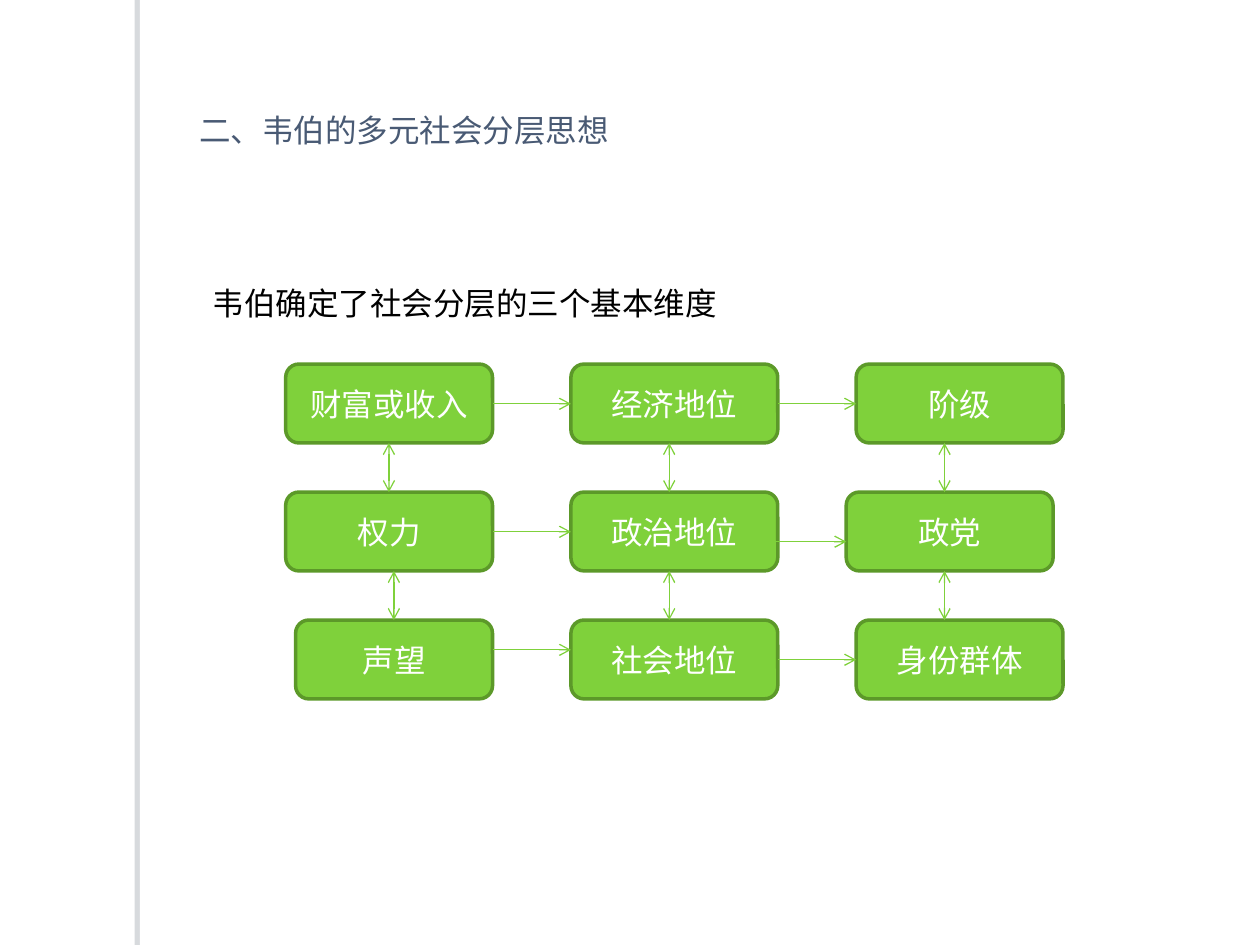
import pptx
import pptx.util
import pptx.dml.color
import pptx.enum.shapes
import pptx.enum.text
import pptx.oxml
import pptx.oxml.ns

Cm = pptx.util.Cm
Pt = pptx.util.Pt
RGBColor = pptx.dml.color.RGBColor
SHAPE = pptx.enum.shapes.MSO_SHAPE
ALIGN = pptx.enum.text.PP_ALIGN
ANCHOR = pptx.enum.text.MSO_ANCHOR

WHITE = RGBColor(0xFF, 0xFF, 0xFF)
BLACK = RGBColor(0x00, 0x00, 0x00)
SLATE = RGBColor(0x49, 0x5A, 0x74)
GREEN = RGBColor(0x7F, 0xD1, 0x3B)
DARK_GREEN = RGBColor(0x5C, 0x99, 0x29)

DIMENSIONS = [
    ["财富或收入", "经济地位", "阶级"],
    ["权力", "政治地位", "政党"],
    ["声望", "社会地位", "身份群体"],
]


def write(shape, text, color=BLACK, align=ALIGN.LEFT, anchor=ANCHOR.MIDDLE, size=18):
    """Put one formatted paragraph into a shape and return it."""
    frame = shape.text_frame
    frame.word_wrap = True
    frame.auto_size = pptx.enum.text.MSO_AUTO_SIZE.NONE
    frame.vertical_anchor = anchor
    paragraph = frame.paragraphs[0]
    paragraph.alignment = align
    run = paragraph.add_run()
    run.text = text
    run.font.name = "Calibri"
    run.font.size = Pt(size)
    run.font.color.rgb = color
    return paragraph


def add_box(slide, kind, left, top, width, height, fill, line=None):
    box = slide.shapes.add_shape(kind, Cm(left), Cm(top), Cm(width), Cm(height))
    box.shadow.inherit = False
    box.fill.solid()
    box.fill.fore_color.rgb = fill
    if line is None:
        box.line.fill.background()
    else:
        box.line.color.rgb = line
        box.line.width = Pt(2)
    return box


def add_arrow(slide, x1, y1, x2, y2, both_ends=False):
    arrow = slide.shapes.add_connector(
        pptx.enum.shapes.MSO_CONNECTOR.STRAIGHT, Cm(x1), Cm(y1), Cm(x2), Cm(y2))
    arrow.line.color.rgb = GREEN
    arrow.line.width = Pt(0.75)
    line = arrow.line._get_or_add_ln()
    for end in ["headEnd", "tailEnd"] if both_ends else ["tailEnd"]:
        tip = pptx.oxml.parse_xml(
            f'<a:{end} {pptx.oxml.ns.nsdecls("a")} type="arrow"/>')
        line.append(tip)
    arrow._element.spPr.append(
        pptx.oxml.parse_xml(f'<a:effectLst {pptx.oxml.ns.nsdecls("a")}/>'))


def add_side_bar(slide, left, top, width, height):
    bar = add_box(slide, SHAPE.RECTANGLE, left, top, width, height, WHITE)
    # Soft grey edge cast to the left
    effects = bar._element.spPr.find(pptx.oxml.ns.qn("a:effectLst"))
    effects.append(pptx.oxml.parse_xml(
        f'<a:outerShdw {pptx.oxml.ns.nsdecls("a")} blurRad="0" dist="38100" '
        'dir="10800000" algn="tl" rotWithShape="0"><a:srgbClr val="66727D">'
        '<a:alpha val="25000"/></a:srgbClr></a:outerShdw>'))


def add_title(slide, left, top, width, height):
    title = slide.shapes.title
    title.left, title.top = Cm(left), Cm(top)
    title.width, title.height = Cm(width), Cm(height)
    write(title, "二、韦伯的多元社会分层思想", color=SLATE)


def add_statement(slide, left, top, width, height):
    panel = add_box(slide, SHAPE.RECTANGLE, left, top, width, height, WHITE)
    statement = write(panel, "韦伯确定了社会分层的三个基本维度", anchor=ANCHOR.TOP)
    statement.space_before = Pt(6)
    indents = statement._p.get_or_add_pPr()
    indents.set("marL", str(Cm(1.02)))
    indents.set("indent", str(Cm(-0.79)))


def add_dimension_grid(slide, left, top, width, height):
    box_width, box_height, nudge = 4.17, 1.59, 0.2
    column_step = (width - box_width) / 2
    row_step = (height - box_height) / 2
    columns = [left + i * column_step for i in range(3)]
    rows = [top + i * row_step for i in range(3)]

    # Boxes; two of them start slightly off the grid
    starts = {(2, 0): nudge, (1, 2): -nudge}
    for r, labels in enumerate(DIMENSIONS):
        for c, label in enumerate(labels):
            shift = starts.get((r, c), 0)
            trim = shift if c == 0 else 0
            box = add_box(slide, SHAPE.ROUNDED_RECTANGLE, columns[c] + shift, rows[r],
                          box_width - trim, box_height, GREEN, DARK_GREEN)
            write(box, label, color=WHITE, align=ALIGN.CENTER)

    # Arrows to the right
    drops = [[0.8, 0.8], [0.8, 1.0], [0.6, 0.8]]
    for r, row_drops in enumerate(drops):
        for c, drop in enumerate(row_drops):
            shift = starts.get((r, c + 1), 0)
            y = rows[r] + drop
            add_arrow(slide, columns[c] + box_width + shift, y, columns[c + 1] + shift, y)

    # Two-way arrows between the rows
    offsets = [[2.08, 1.98, 1.78], [2.18, 1.98, 1.78]]
    for r, row_offsets in enumerate(offsets):
        for c, offset in enumerate(row_offsets):
            x = columns[c] + offset
            add_arrow(slide, x, rows[r] + box_height, x, rows[r + 1], both_ends=True)


presentation = pptx.Presentation()
presentation.slide_width = Cm(25.4)
presentation.slide_height = Cm(19.05)
slide = presentation.slides.add_slide(presentation.slide_layouts[5])

add_side_bar(slide, 2.82, 0, 0.2, 19.05)
add_title(slide, 3.76, 0.58, 21.64, 4.06)
add_statement(slide, 3.81, 5.61, 21.59, 11.43)
add_dimension_grid(slide, 5.76, 7.34, 15.67, 6.75)

presentation.save("out.pptx")
